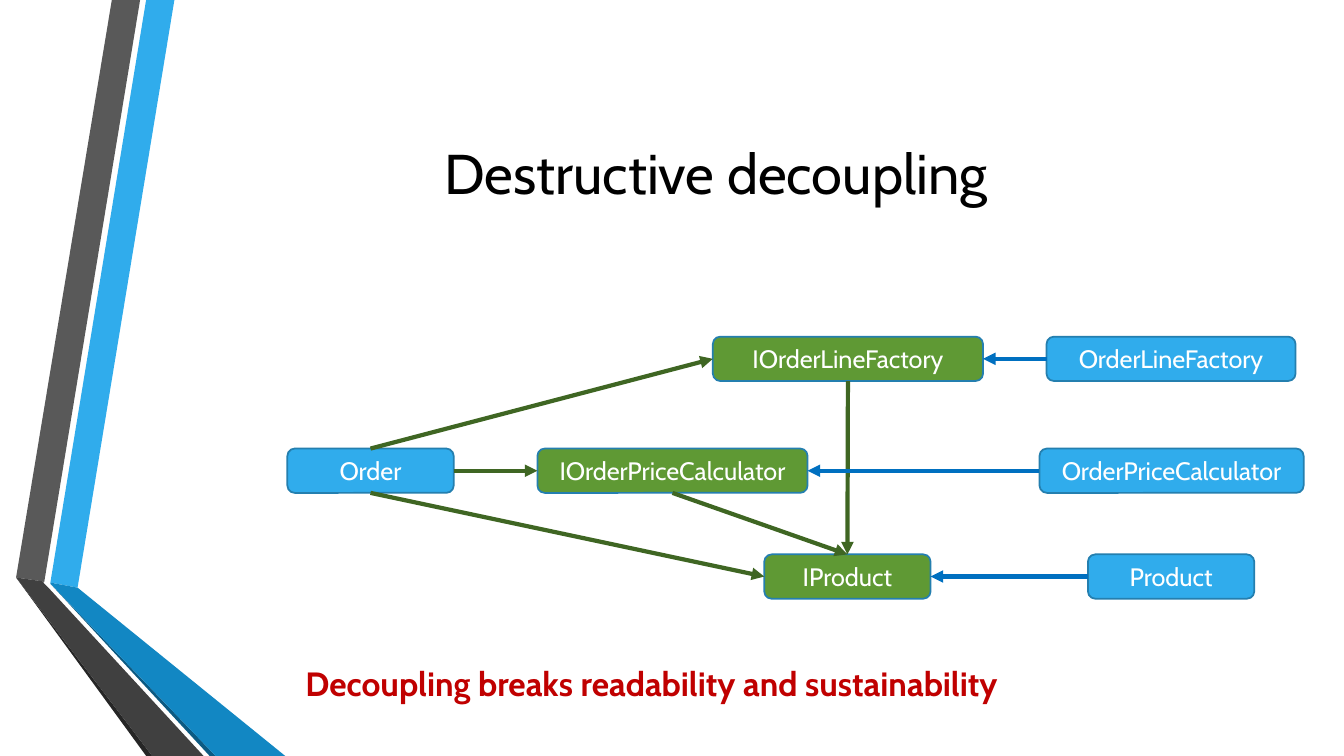
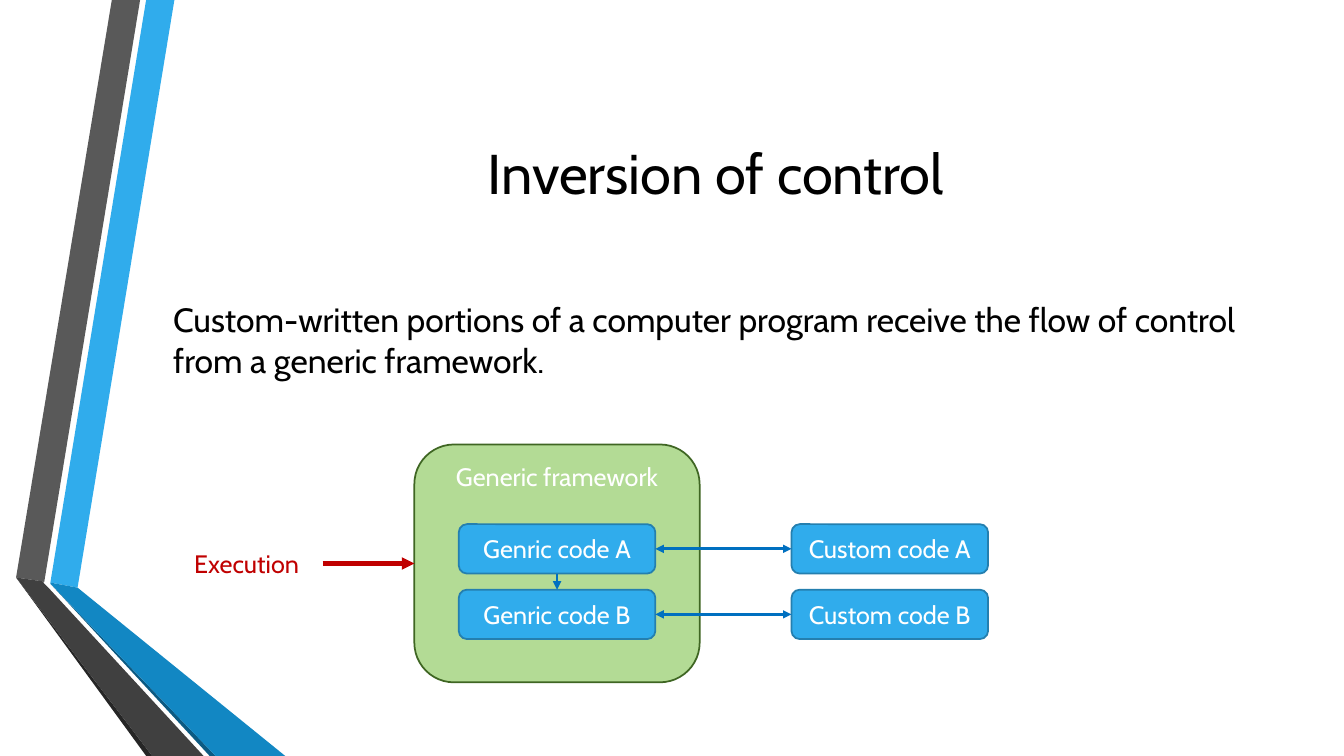
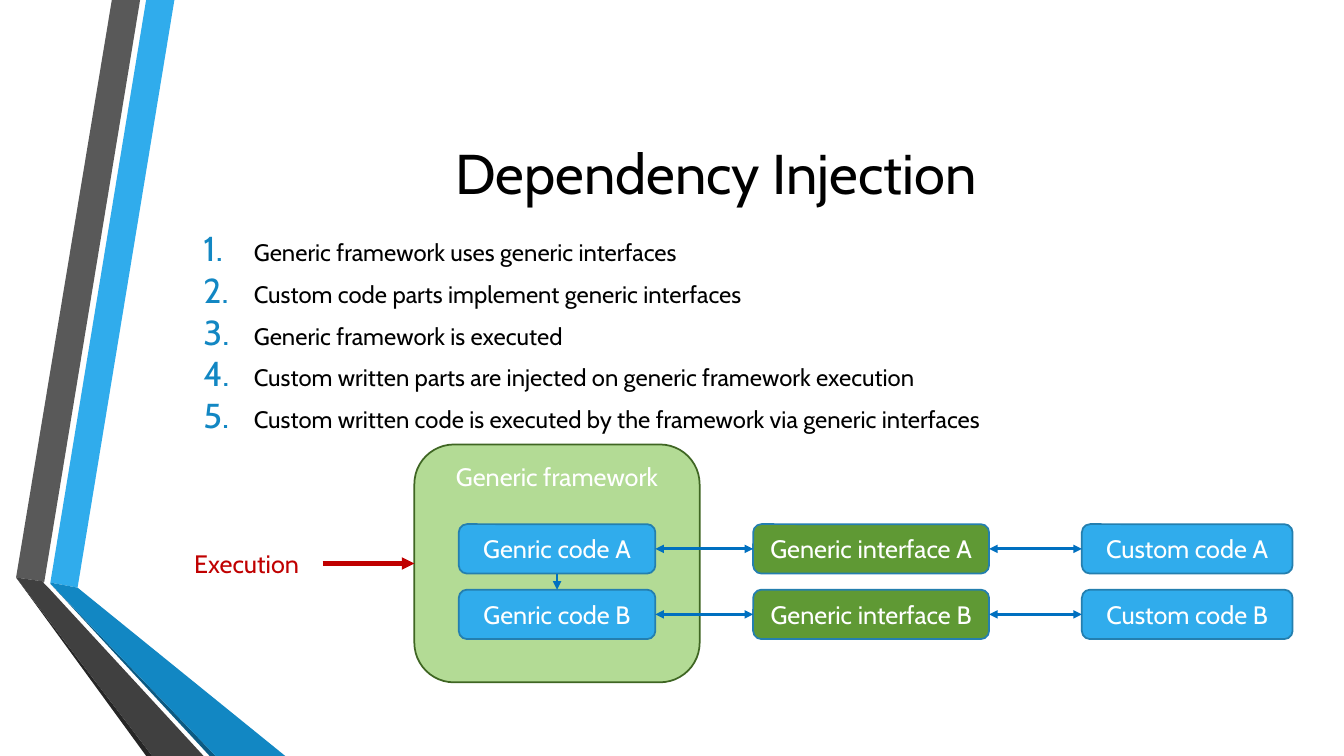
from pptx import Presentation
from pptx import util as u
from pptx.dml.color import RGBColor
from pptx.enum import shapes, text
from pptx.oxml.ns import qn
from lxml import etree

PX = 9144  # EMU per px, 100 px to the inch
FONT = "Cabin"
COLOURS = {
    "black": "000000", "white": "FFFFFF", "red": "C00000",
    "sky": "30ACEC", "sky_edge": "247FAF", "blue": "1287C3", "navy": "0C5A82",
    "arrow_blue": "0070C0", "green": "5F9934", "pale_green": "B3DB95",
    "dark_green": "3F6623", "grey": "595959", "dark_grey": "404040", "charcoal": "262626",
}
# Folded ribbons down the left edge, shared by all slides
RIBBONS = [
    ("sky", [(50, 578), (77, 583), (173, 0), (145, 0)]),
    ("grey", [(139, 0), (111, 0), (16, 573), (44, 577)]),
    ("charcoal", [(16, 573), (145, 750), (151, 750)]),
    ("navy", [(50, 579), (208, 750), (214, 750)]),
    ("blue", [(50, 579), (214, 750), (283, 750), (77, 583), (50, 578)]),
    ("dark_grey", [(202, 750), (48, 583), (43, 578), (44, 577), (16, 573), (151, 750)]),
]
TOP, LEFT, BOTTOM, RIGHT = range(4)
ALIGN = text.PP_ALIGN
ANCHOR = text.MSO_ANCHOR


def rgb(name):
    return RGBColor.from_string(COLOURS[name])


def px(*lengths):
    return [u.Emu(length * PX) for length in lengths]


def write(frame, lines, size=18, colour="black", bold=None, align=ALIGN.LEFT,
          anchor=ANCHOR.TOP, before=0, after=0):
    frame.word_wrap = True
    frame.vertical_anchor = anchor
    for i, line in enumerate(lines):
        paragraph = frame.paragraphs[0] if i == 0 else frame.add_paragraph()
        paragraph.alignment = align
        paragraph.space_before, paragraph.space_after = u.Pt(before), u.Pt(after)
        run = paragraph.add_run()
        run.text = line
        run.font.name, run.font.size, run.font.bold = FONT, u.Pt(size), bold
        run.font.color.rgb = rgb(colour)


def label(slide, at, lines, grow=False, **style):
    area = slide.shapes.add_textbox(*px(*at))
    write(area.text_frame, lines, **style)
    if grow:
        area.text_frame.auto_size = text.MSO_AUTO_SIZE.SHAPE_TO_FIT_TEXT
    return area


def box(slide, at, caption, fill="sky", edge="sky_edge", anchor=ANCHOR.MIDDLE):
    node = slide.shapes.add_shape(shapes.MSO_SHAPE.ROUNDED_RECTANGLE, *px(*at))
    node.shadow.inherit = False
    node.fill.solid()
    node.fill.fore_color.rgb = rgb(fill)
    node.line.color.rgb = rgb(edge)
    node.line.width = u.Pt(1.25)
    write(node.text_frame, [caption], colour="white", align=ALIGN.CENTER, anchor=anchor)
    return node


def arrow(slide, source, source_side, target, target_side, colour, width=3, both=False):
    link = slide.shapes.add_connector(shapes.MSO_CONNECTOR.STRAIGHT, 0, 0, 0, 0)
    link.begin_connect(source, source_side)
    link.end_connect(target, target_side)
    link.line.color.rgb = rgb(colour)
    link.line.width = u.Pt(width)
    outline = link.line._get_or_add_ln()
    for end in (["headEnd"] if both else []) + ["tailEnd"]:
        etree.SubElement(outline, qn("a:" + end), type="triangle")
    etree.SubElement(link._element.spPr, qn("a:effectLst"))


def number(area, colour, percent):
    """Number the paragraphs with a hanging indent of half an inch."""
    for paragraph in area.text_frame.paragraphs:
        props = paragraph._p.get_or_add_pPr()
        props.set("marL", str(50 * PX))
        props.set("indent", str(-50 * PX))
        tint = etree.SubElement(props, qn("a:buClr"))
        etree.SubElement(tint, qn("a:srgbClr"), val=COLOURS[colour])
        etree.SubElement(props, qn("a:buSzPct"), val=str(percent * 1000))
        etree.SubElement(props, qn("a:buFont"), typeface=FONT)
        etree.SubElement(props, qn("a:buAutoNum"), type="arabicPeriod")


def titled_slide(deck, title):
    slide = deck.slides.add_slide(deck.slide_layouts[6])
    for colour, points in RIBBONS:
        builder = slide.shapes.build_freeform(*points[0], scale=PX)
        builder.add_line_segments(points[1:], close=True)
        ribbon = builder.convert_to_shape()
        ribbon.shadow.inherit = False
        ribbon.fill.solid()
        ribbon.fill.fore_color.rgb = rgb(colour)
        ribbon.line.fill.background()
    label(slide, (162, 75, 1096, 192), [title], size=40, align=ALIGN.CENTER,
          anchor=ANCHOR.MIDDLE)
    return slide


def column(slide, left, width, name, fill="sky"):
    """Box A above box B."""
    return [box(slide, (left, 520 + 65 * row, width, 49), f"{name} {letter}", fill)
            for row, letter in enumerate("AB")]


def join_columns(slide, left_column, right_column):
    for source, target in zip(left_column, right_column):
        arrow(slide, source, RIGHT, target, LEFT, "arrow_blue", 2, both=True)


def framework(slide):
    """Execution entering the generic framework; returns its code boxes."""
    frame = box(slide, (411, 441, 283, 236), "Generic framework", "pale_green",
                "dark_green", ANCHOR.TOP)
    code = column(slide, 455, 195, "Genric code")
    execution = label(slide, (169, 539, 151, 40), ["Execution"], grow=True, colour="red",
                      align=ALIGN.CENTER)
    arrow(slide, code[0], BOTTOM, code[1], TOP, "arrow_blue", 2)
    arrow(slide, execution, RIGHT, frame, LEFT, "red")
    return code


def decoupling_slide(deck):
    slide = titled_slide(deck, "Destructive decoupling")
    label(slide, (293, 653, 952, 50), ["Decoupling breaks readability and sustainability"],
          grow=True, size=24, colour="red", bold=True)
    # Classes in sky blue, interfaces in green
    order = box(slide, (285, 445, 165, 44), "Order")
    i_factory = box(slide, (707, 334, 268, 44), "IOrderLineFactory", "green")
    i_calculator = box(slide, (533, 445, 268, 44), "IOrderPriceCalculator", "green")
    i_product = box(slide, (758, 550, 165, 44), "IProduct", "green")
    factory = box(slide, (1038, 334, 247, 44), "OrderLineFactory")
    calculator = box(slide, (1031, 445, 262, 44), "OrderPriceCalculator")
    product = box(slide, (1079, 550, 165, 44), "Product")
    # Uses
    for source, source_side, target, target_side in [
        (order, TOP, i_factory, LEFT),
        (order, RIGHT, i_calculator, LEFT),
        (order, BOTTOM, i_product, LEFT),
        (i_factory, BOTTOM, i_product, TOP),
        (i_calculator, BOTTOM, i_product, TOP),
    ]:
        arrow(slide, source, source_side, target, target_side, "dark_green")
    # Implementations
    for source, target in [(factory, i_factory), (calculator, i_calculator),
                           (product, i_product)]:
        arrow(slide, source, LEFT, target, RIGHT, "arrow_blue")


def inversion_slide(deck):
    slide = titled_slide(deck, "Inversion of control")
    label(slide, (162, 292, 1096, 101),
          ["Custom-written portions of a computer program receive the flow of "
           "control from a generic framework."], size=24, before=4.8, after=6)
    code = framework(slide)
    join_columns(slide, code, column(slide, 785, 195, "Custom code"))


def injection_slide(deck):
    slide = titled_slide(deck, "Dependency Injection")
    steps = label(slide, (192, 231, 1090, 195), [
        "Generic framework uses generic interfaces",
        "Custom code parts implement generic interfaces",
        "Generic framework is executed",
        "Custom written parts are injected on generic framework execution",
        "Custom written code is executed by the framework via generic interfaces",
    ], size=17, before=3.4, after=6)
    number(steps, "blue", 145)
    code = framework(slide)
    interfaces = column(slide, 747, 234, "Generic interface", "green")
    custom = column(slide, 1073, 209, "Custom code")
    join_columns(slide, code, interfaces)
    join_columns(slide, interfaces, custom)


def main():
    deck = Presentation()
    deck.slide_width, deck.slide_height = px(1333, 750)
    decoupling_slide(deck)
    inversion_slide(deck)
    injection_slide(deck)
    deck.save("out.pptx")


if __name__ == "__main__":
    main()
